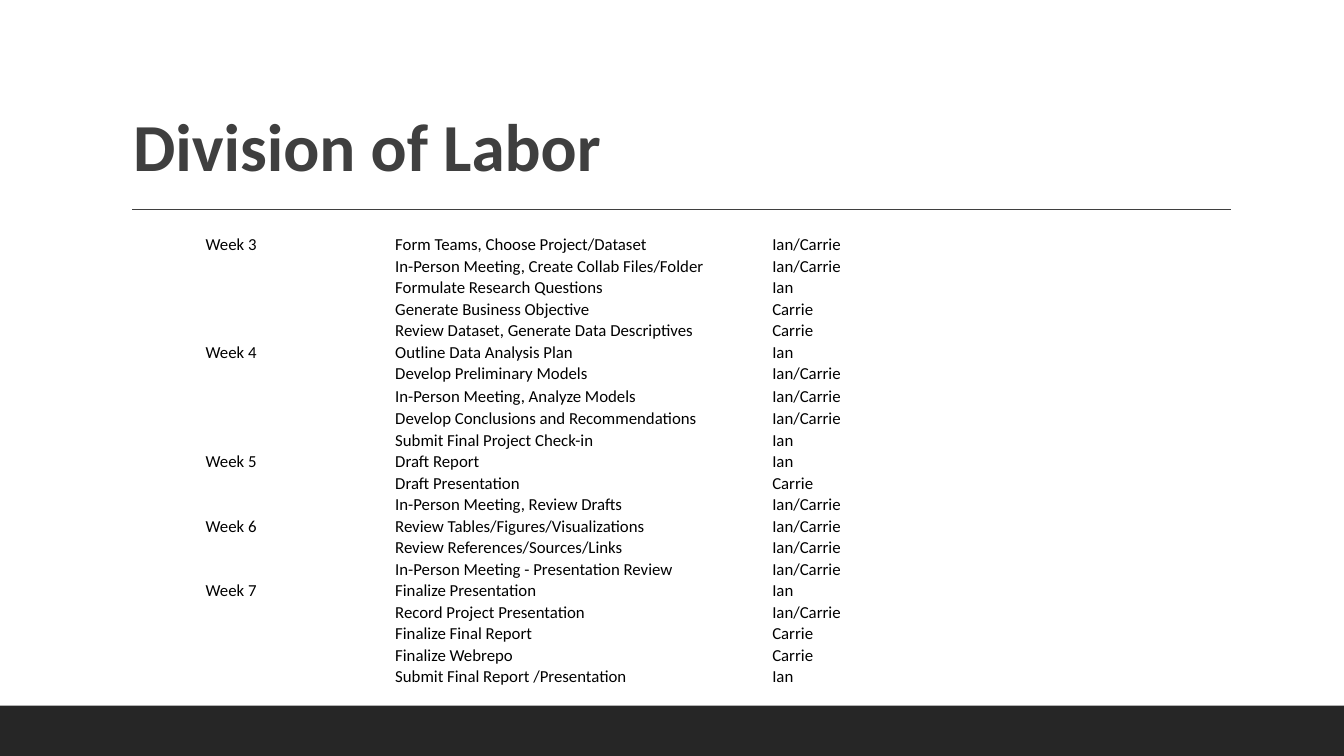
from dataclasses import dataclass

from lxml import etree
from pptx import Presentation
from pptx.dml.color import RGBColor
from pptx.enum.shapes import MSO_CONNECTOR, MSO_SHAPE
from pptx.enum.text import MSO_ANCHOR, PP_ALIGN
from pptx.oxml.ns import qn
from pptx.util import Inches, Pt

LINE = MSO_CONNECTOR.STRAIGHT
RECT = MSO_SHAPE.RECTANGLE
LEFT = PP_ALIGN.LEFT
MIDDLE, BOTTOM = MSO_ANCHOR.MIDDLE, MSO_ANCHOR.BOTTOM


@dataclass(frozen=True)
class Theme:
    font: str = "Calibri"
    head: RGBColor = RGBColor(0x3F, 0x3F, 0x3F)
    body: RGBColor = RGBColor(0, 0, 0)
    bar: RGBColor = RGBColor(0x26, 0x26, 0x26)
    head_size: int = 48
    body_size: int = 12


THEME = Theme()

# Tasks and owners, grouped by week
BOTH, IAN, CARRIE = "Ian/Carrie", "Ian", "Carrie"
PLAN = {
    "Week 3": [
        ("Form Teams, Choose Project/Dataset", BOTH),
        ("In-Person Meeting, Create Collab Files/Folder", BOTH),
        ("Formulate Research Questions", IAN),
        ("Generate Business Objective", CARRIE),
        ("Review Dataset, Generate Data Descriptives", CARRIE),
    ],
    "Week 4": [
        ("Outline Data Analysis Plan", IAN),
        ("Develop Preliminary Models", BOTH),
        ("In-Person Meeting, Analyze Models", BOTH),
        ("Develop Conclusions and Recommendations", BOTH),
        ("Submit Final Project Check-in", IAN),
    ],
    "Week 5": [
        ("Draft Report", IAN),
        ("Draft Presentation", CARRIE),
        ("In-Person Meeting, Review Drafts", BOTH),
    ],
    "Week 6": [
        ("Review Tables/Figures/Visualizations", BOTH),
        ("Review References/Sources/Links", BOTH),
        ("In-Person Meeting - Presentation Review", BOTH),
    ],
    "Week 7": [
        ("Finalize Presentation", IAN),
        ("Record Project Presentation", BOTH),
        ("Finalize Final Report", CARRIE),
        ("Finalize Webrepo", CARRIE),
        ("Submit Final Report /Presentation", IAN),
    ],
}
WIDTHS = (1.88, 3.74, 3.77)
ROW_H, TALL_H, TALL_ROW = 0.21, 0.23, 7


def style(para, size, color, bold=False):
    para.alignment = LEFT
    for run in para.runs:
        font = run.font
        font.name, font.size, font.bold = THEME.font, Pt(size), bold
        font.color.rgb = color


def add_bar(slide):
    bar = slide.shapes.add_shape(
        RECT, Inches(0), Inches(7), Inches(13.33), Inches(0.5))
    bar.shadow.inherit = False
    bar.fill.solid()
    bar.fill.fore_color.rgb = THEME.bar
    bar.line.fill.background()


def add_rule(slide):
    rule = slide.shapes.add_connector(
        LINE, Inches(1.31), Inches(2.08), Inches(12.21), Inches(2.08))
    rule.line.color.rgb = THEME.head
    rule.line.width = Pt(1)
    etree.SubElement(rule._element.spPr, qn("a:effectLst"))


def set_title(slide, text):
    title = slide.shapes.title
    title.left, title.top = Inches(1.22), Inches(0.31)
    title.width, title.height = Inches(11), Inches(1.59)
    frame = title.text_frame
    frame.text = text
    frame.vertical_anchor = BOTTOM
    para = frame.paragraphs[0]
    para.line_spacing = 0.9
    style(para, THEME.head_size, THEME.head, bold=True)


def fill_cell(cell, text):
    cell.fill.background()
    cell.vertical_anchor = MIDDLE
    cell.margin_left = cell.margin_right = cell.margin_top = Inches(0.01)
    cell.margin_bottom = Inches(0)
    para = cell.text_frame.paragraphs[0]
    if text:
        para.text = text
        style(para, THEME.body_size, THEME.body)
    else:
        # Keep blank cells from stretching their row
        end = etree.SubElement(para._p, qn("a:endParaRPr"))
        end.set("sz", str(THEME.body_size * 100))


def add_plan(slide, plan):
    rows = [("" if i else week, task, who)
            for week, tasks in plan.items()
            for i, (task, who) in enumerate(tasks)]
    table = slide.shapes.add_table(
        len(rows), len(WIDTHS), Inches(2.03), Inches(2.32),
        Inches(sum(WIDTHS)), Inches(ROW_H * len(rows))).table
    table.first_row = table.horz_banding = False
    for col, width in zip(table.columns, WIDTHS):
        col.width = Inches(width)
    for r, row in enumerate(rows):
        table.rows[r].height = Inches(TALL_H if r == TALL_ROW else ROW_H)
        for c, text in enumerate(row):
            fill_cell(table.cell(r, c), text)


def main():
    deck = Presentation()
    deck.slide_width, deck.slide_height = Inches(13.33), Inches(7.5)
    slide = deck.slides.add_slide(deck.slide_layouts[5])

    # Frame of the slide
    add_bar(slide)
    add_rule(slide)

    # Content
    set_title(slide, "Division of Labor")
    add_plan(slide, PLAN)
    deck.save("out.pptx")


if __name__ == "__main__":
    main()
